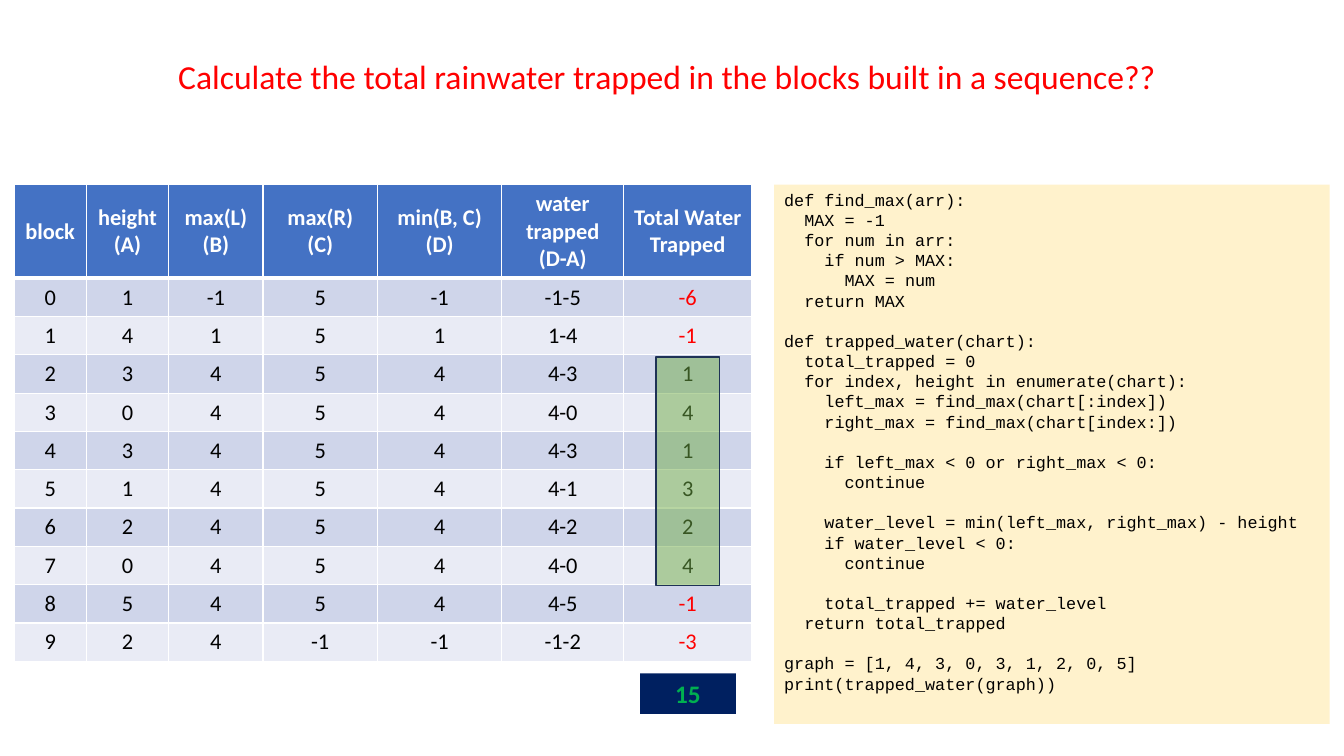
import pptx
import pptx.util
import pptx.dml.color
import pptx.enum.shapes
import pptx.enum.text
import lxml.etree

Pt = pptx.util.Pt
RGB = pptx.dml.color.RGBColor.from_string
ALIGN = pptx.enum.text.PP_ALIGN
MID = pptx.enum.text.MSO_ANCHOR.MIDDLE
NS = "http://schemas.openxmlformats.org/drawingml/2006/main"
HUES = {
    "white": "FFFFFF", "black": "000000", "red": "FF0000",
    "head": "4472C4", "odd": "CFD5EA", "even": "E9EBF5",
    "green": "70AD47", "edge": "1E3256", "navy": "002060",
    "sum": "00B050", "cream": "FFF2CC",
}


def style(frame, size, hue, face="Calibri", bold=False, align=ALIGN.LEFT):
    for para in frame.paragraphs:
        para.alignment = align
        for run in para.runs:
            run.font.size = Pt(size)
            run.font.name = face
            run.font.bold = bold
            run.font.color.rgb = RGB(HUES[hue])


def panel(left, top, width, height, hue):
    box = slide.shapes.add_shape(
        pptx.enum.shapes.MSO_SHAPE.RECTANGLE,
        Pt(left), Pt(top), Pt(width), Pt(height))
    box.shadow.inherit = False
    box.fill.solid()
    box.fill.fore_color.rgb = RGB(HUES[hue])
    box.line.fill.background()
    box.text_frame.word_wrap = True
    return box


deck = pptx.Presentation()
deck.slide_width, deck.slide_height = Pt(960), Pt(540)
slide = deck.slides.add_slide(deck.slide_layouts[6])

# Table of blocks
heads = ["block", "height\n(A)", "max(L)\n(B)", "max(R)\n(C)",
         "min(B, C)\n(D)", "water trapped\n(D-A)", "Total Water Trapped"]
blocks = [
    "0 1 -1 5 -1 -1-5 -6",
    "1 4 1 5 1 1-4 -1",
    "2 3 4 5 4 4-3 1",
    "3 0 4 5 4 4-0 4",
    "4 3 4 5 4 4-3 1",
    "5 1 4 5 4 4-1 3",
    "6 2 4 5 4 4-2 2",
    "7 0 4 5 4 4-0 4",
    "8 5 4 5 4 4-5 -1",
    "9 2 4 -1 -1 -1-2 -3",
]
rows = [heads] + [line.split() for line in blocks]
widths = [51.5, 59, 67.3, 81.8, 88.8, 87.1, 91.5]
tall, step = 67, 27.36
grid = slide.shapes.add_table(
    len(rows), len(widths), Pt(10.1), Pt(131.8),
    Pt(sum(widths)), Pt(tall + step * len(blocks))).table
for col, width in zip(grid.columns, widths):
    col.width = Pt(width)
for r, row in enumerate(rows):
    grid.rows[r].height = Pt(step if r else tall)
    back = "head" if r == 0 else "odd" if r % 2 else "even"
    for c, word in enumerate(row):
        cell = grid.cell(r, c)
        cell.text_frame.text = word
        cell.vertical_anchor = MID
        loss = r > 0 and c == len(row) - 1 and word.startswith("-")
        hue = "white" if r == 0 else "red" if loss else "black"
        style(cell.text_frame, 16, hue, bold=r == 0, align=ALIGN.CENTER)
        # Borders come before the fill in the cell properties
        props = cell._tc.get_or_add_tcPr()
        for side in "LRTB":
            thick = (side == "B" and r == 0) or (side == "T" and r == 1)
            rule = lxml.etree.SubElement(
                props, f"{{{NS}}}ln{side}", w=str(Pt(3 if thick else 1)))
            paint = lxml.etree.SubElement(rule, f"{{{NS}}}solidFill")
            lxml.etree.SubElement(
                paint, f"{{{NS}}}srgbClr", val=HUES["white"])
        cell.fill.solid()
        cell.fill.fore_color.rgb = RGB(HUES[back])

# Title
title = slide.shapes.add_textbox(Pt(120.2), Pt(36.7), Pt(715.7), Pt(36))
title.text_frame.word_wrap = True
title.text_frame.text = ("Calculate the total rainwater trapped in the "
                         "blocks built in a sequence??")
style(title.text_frame, 24, "red")

# Clear green mark over the gains
mark = panel(468.7, 254.9, 45.4, 163.4, "green")
mark.line.color.rgb = RGB(HUES["edge"])
mark.line.width = Pt(1)
tint = mark.fill._xPr.find(f".//{{{NS}}}srgbClr")
lxml.etree.SubElement(tint, f"{{{NS}}}alpha", val="50000")

# Total
total = panel(457.2, 481, 68.4, 29, "navy")
total.text_frame.text = "15"
total.text_frame.vertical_anchor = MID
style(total.text_frame, 18, "sum", bold=True, align=ALIGN.CENTER)

# Code: (indent level, blank line before, text)
code = [
    (0, 0, "def find_max(arr):"),
    (1, 0, "MAX = -1"),
    (1, 0, "for num in arr:"),
    (2, 0, "if num > MAX:"),
    (3, 0, "MAX = num"),
    (1, 0, "return MAX"),
    (0, 1, "def trapped_water(chart):"),
    (1, 0, "total_trapped = 0"),
    (1, 0, "for index, height in enumerate(chart):"),
    (2, 0, "left_max = find_max(chart[:index])"),
    (2, 0, "right_max = find_max(chart[index:])"),
    (2, 1, "if left_max < 0 or right_max < 0:"),
    (3, 0, "continue"),
    (2, 1, "water_level = min(left_max, right_max) - height"),
    (2, 0, "if water_level < 0:"),
    (3, 0, "continue"),
    (2, 1, "total_trapped += water_level"),
    (1, 0, "return total_trapped"),
    (0, 1, "graph = [1, 4, 3, 0, 3, 1, 2, 0, 5]"),
    (0, 0, "print(trapped_water(graph))"),
]
pitch = 14.4
pane = panel(553, 131.8, 396.7, 385.2, "cream").text_frame
pane.vertical_anchor = pptx.enum.text.MSO_ANCHOR.TOP
pane.text = "\n".join(text for level, gap, text in code)
style(pane, 12, "black", face="Courier New")
for para, (level, gap, text) in zip(pane.paragraphs, code):
    para.line_spacing = Pt(pitch)
    para.space_before = Pt(pitch * gap)
    para._p.get_or_add_pPr().set("marL", str(Pt(14.4 * level)))

deck.save("out.pptx")
